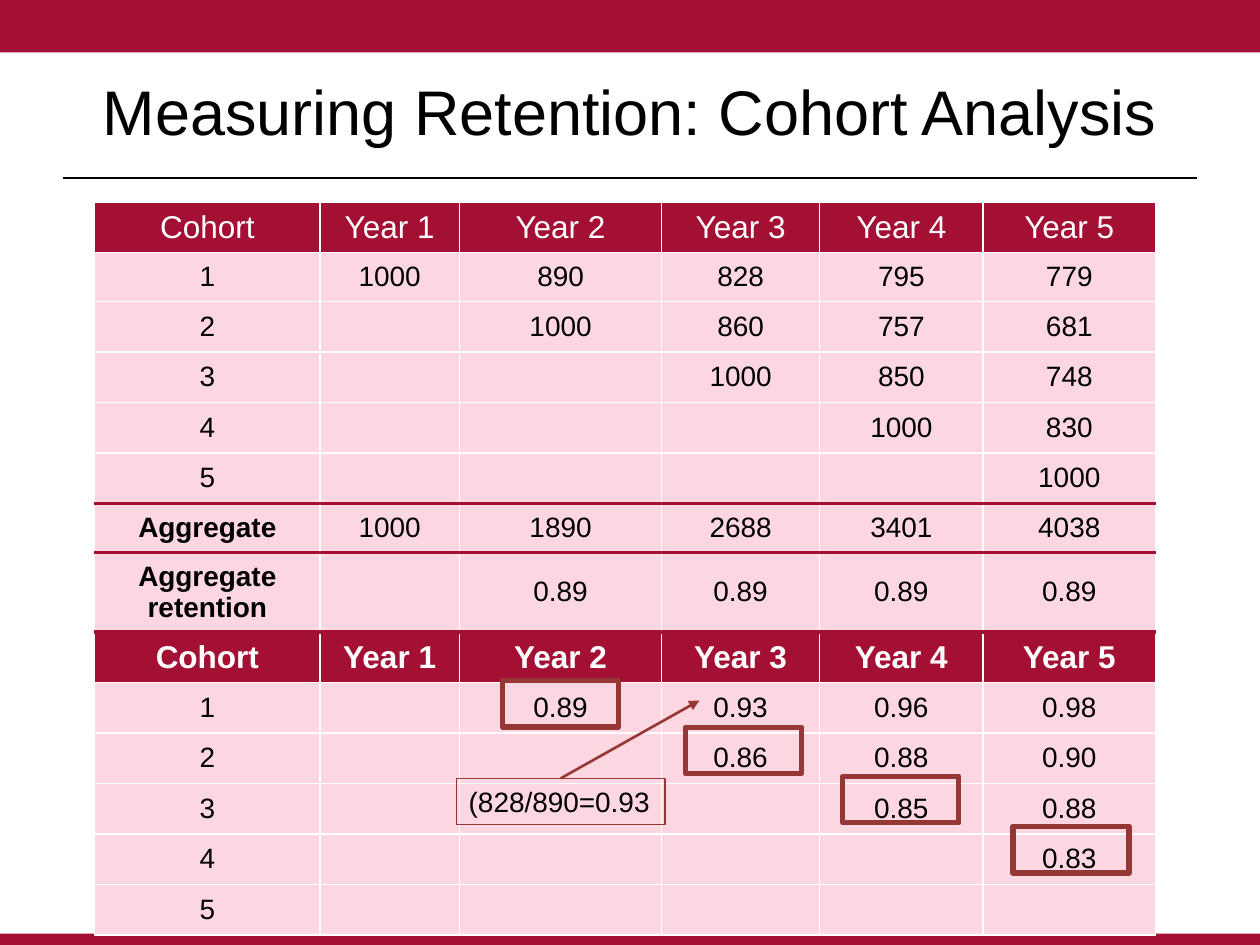
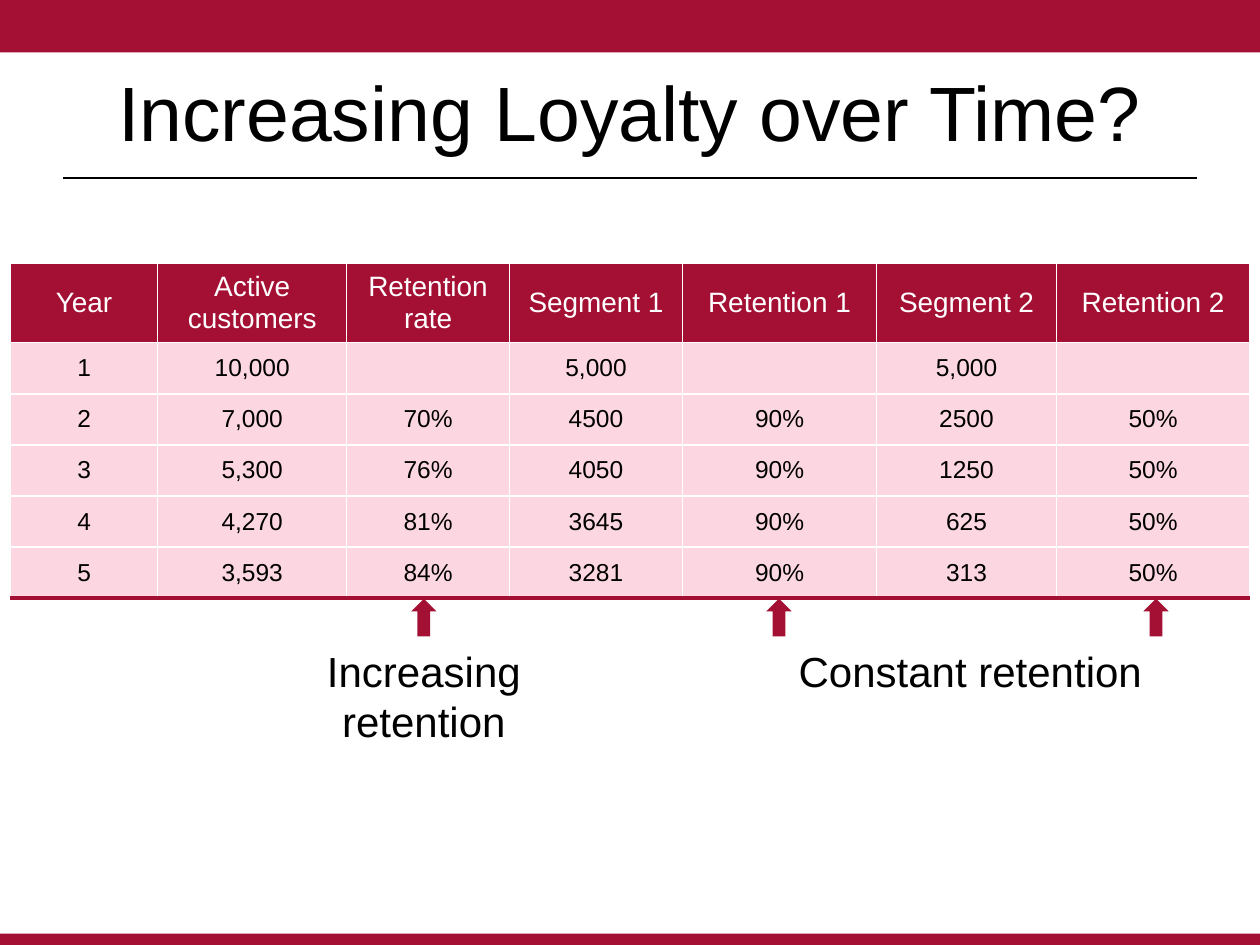
from dataclasses import dataclass

import pptx
import pptx.dml.color
import pptx.enum.shapes
import pptx.enum.text
import pptx.oxml.ns
import pptx.presentation
import pptx.shapes.autoshape
import pptx.shapes.connector
import pptx.slide
import pptx.util
from lxml import etree
from pptx.enum.shapes import MSO_SHAPE
from pptx.enum.text import MSO_ANCHOR, PP_ALIGN
from pptx.util import Cm, Pt


@dataclass(frozen=True)
class Theme:
    font: str = "Arial"
    crimson: str = "A41034"
    pink: str = "FCD7E2"
    brick: str = "953735"
    black: str = "000000"
    white: str = "FFFFFF"
    note_size: int = 16
    caption_size: int = 24
    grid_width: float = 1
    rule_width: float = 2.25


THEME = Theme()
SLIDE_WIDTH, SLIDE_HEIGHT = 25.4, 19.05
MARGIN = 1.27


@dataclass(frozen=True)
class Box:
    """A rectangle in centimetres."""
    left: float
    top: float
    width: float
    height: float

    def lengths(self) -> tuple:
        return Cm(self.left), Cm(self.top), Cm(self.width), Cm(self.height)


@dataclass(frozen=True)
class Row:
    cells: tuple
    height: float
    is_header: bool = False
    bold_cells: int = 0
    rule_below: bool = False


@dataclass(frozen=True)
class TableSpec:
    left: float
    top: float
    widths: tuple
    rows: list
    header_size: int
    body_size: int


@dataclass(frozen=True)
class Callout:
    """Up arrows with one caption below them."""
    arrow_lefts: tuple
    caption_lines: tuple
    caption_box: Box


def rgb(color: str) -> pptx.dml.color.RGBColor:
    return pptx.dml.color.RGBColor.from_string(color)


# Shared drawing functions

def add_text(paragraph, text: str, size: int, color: str = THEME.black,
             bold: bool = False) -> None:
    run = paragraph.add_run()
    run.text = text
    run.font.name = THEME.font
    run.font.size = Pt(size)
    run.font.bold = bold
    run.font.color.rgb = rgb(color)


def add_text_box(shapes, box: Box, lines: tuple, size: int, wrap: bool = False,
                 anchor: MSO_ANCHOR = MSO_ANCHOR.TOP) -> None:
    frame = shapes.add_textbox(*box.lengths()).text_frame
    frame.word_wrap = wrap
    frame.vertical_anchor = anchor
    paragraph = frame.paragraphs[0]
    paragraph.alignment = PP_ALIGN.CENTER
    for index, line in enumerate(lines):
        if index:
            paragraph.add_line_break()
        add_text(paragraph, line, size)


def add_filled(shapes, kind: MSO_SHAPE, box: Box) -> None:
    shape = shapes.add_shape(kind, *box.lengths())
    shape.shadow.inherit = False
    shape.fill.solid()
    shape.fill.fore_color.rgb = rgb(THEME.crimson)
    shape.line.fill.background()


def add_outline(shapes, box: Box, width: float) -> pptx.shapes.autoshape.Shape:
    shape = shapes.add_shape(MSO_SHAPE.RECTANGLE, *box.lengths())
    shape.shadow.inherit = False
    shape.fill.background()
    shape.line.color.rgb = rgb(THEME.brick)
    shape.line.width = Pt(width)
    return shape


def add_line(shapes, start: tuple, end: tuple, color: str,
             width: float) -> pptx.shapes.connector.Connector:
    connector = shapes.add_connector(
        pptx.enum.shapes.MSO_CONNECTOR.STRAIGHT,
        *(Cm(value) for value in start + end))
    connector.line.color.rgb = rgb(color)
    connector.line.width = Pt(width)
    etree.SubElement(connector._element.spPr, pptx.oxml.ns.qn("a:effectLst"))
    return connector


def add_arrowhead(connector: pptx.shapes.connector.Connector) -> None:
    line = connector.line._get_or_add_ln()
    etree.SubElement(line, pptx.oxml.ns.qn("a:tailEnd"), type="triangle")


def add_border(cell, side: str, color: str, width: float) -> None:
    qn = pptx.oxml.ns.qn
    border = etree.SubElement(cell._tc.get_or_add_tcPr(), qn(f"a:ln{side}"),
                              w=str(Pt(width)))
    fill = etree.SubElement(border, qn("a:solidFill"))
    etree.SubElement(fill, qn("a:srgbClr"), val=color)


def add_table(slide: pptx.slide.Slide, spec: TableSpec) -> None:
    box = Box(spec.left, spec.top, sum(spec.widths),
              sum(row.height for row in spec.rows))
    table = slide.shapes.add_table(len(spec.rows), len(spec.widths),
                                   *box.lengths()).table
    table.first_row = table.horz_banding = False
    for column, width in zip(table.columns, spec.widths):
        column.width = Cm(width)
    grid = (THEME.white, THEME.grid_width)
    rule = (THEME.crimson, THEME.rule_width)
    top_border = grid
    for row_index, row in enumerate(spec.rows):
        table.rows[row_index].height = Cm(row.height)
        bottom_border = rule if row.rule_below else grid
        for column_index, text in enumerate(row.cells):
            cell = table.cell(row_index, column_index)
            for side, border in zip("LRTB", (grid, grid, top_border, bottom_border)):
                add_border(cell, side, *border)
            cell.fill.solid()
            cell.fill.fore_color.rgb = rgb(THEME.crimson if row.is_header else THEME.pink)
            cell.vertical_anchor = MSO_ANCHOR.MIDDLE
            paragraph = cell.text_frame.paragraphs[0]
            paragraph.alignment = PP_ALIGN.CENTER
            if text:
                add_text(paragraph, text,
                         spec.header_size if row.is_header else spec.body_size,
                         THEME.white if row.is_header else THEME.black,
                         column_index < row.bold_cells)
        top_border = bottom_border


def add_framed_slide(presentation: pptx.presentation.Presentation, title: str,
                     title_size: int) -> pptx.slide.Slide:
    """Add a slide with its bands, title and title rule."""
    slide = presentation.slides.add_slide(presentation.slide_layouts[6])
    for top, height in ((0, 1.06), (18.82, 0.23)):
        add_filled(slide.shapes, MSO_SHAPE.RECTANGLE, Box(0, top, SLIDE_WIDTH, height))
    add_line(slide.shapes, (MARGIN, 3.59), (SLIDE_WIDTH - MARGIN, 3.59),
             THEME.black, 1.25)
    add_text_box(slide.shapes, Box(MARGIN, 0.64, SLIDE_WIDTH - 2 * MARGIN, 3.18),
                 (title,), title_size, wrap=True, anchor=MSO_ANCHOR.MIDDLE)
    return slide


# Slide 1: cohort analysis

def build_cohort_slide(presentation: pptx.presentation.Presentation) -> None:
    slide = add_framed_slide(presentation, "Measuring Retention: Cohort Analysis", 36)
    height = 0.99
    years = ("Cohort", "Year 1", "Year 2", "Year 3", "Year 4", "Year 5")
    rows = [
        Row(years, height, is_header=True),
        Row(("1", "1000", "890", "828", "795", "779"), height),
        Row(("2", "", "1000", "860", "757", "681"), height),
        Row(("3", "", "", "1000", "850", "748"), height),
        Row(("4", "", "", "", "1000", "830"), height),
        Row(("5", "", "", "", "", "1000"), height, rule_below=True),
        Row(("Aggregate", "1000", "1890", "2688", "3401", "4038"), height,
            bold_cells=1, rule_below=True),
        Row(("Aggregate retention", "", "0.89", "0.89", "0.89", "0.89"), 1.55,
            bold_cells=1, rule_below=True),
        Row(years, height, is_header=True, bold_cells=len(years)),
        Row(("1", "", "0.89", "0.93", "0.96", "0.98"), height),
        Row(("2", "", "", "0.86", "0.88", "0.90"), height),
        Row(("3", "", "", "", "0.85", "0.88"), height),
        Row(("4", "", "", "", "", "0.83"), height),
        Row(("5", "", "", "", "", ""), height),
    ]
    add_table(slide, TableSpec(1.91, 4.07, (4.54, 2.81, 4.08, 3.18, 3.3, 3.47),
                               rows, header_size=18, body_size=16))

    # Worked example with an arrow to its cell
    example = add_outline(slide.shapes, Box(9.2, 15.69, 4.21, 0.94), 0.75)
    frame = example.text_frame
    frame.word_wrap = False
    frame.vertical_anchor = MSO_ANCHOR.TOP
    frame.paragraphs[0].alignment = PP_ALIGN.LEFT
    add_text(frame.paragraphs[0], "(828/890=0.93", THEME.note_size)
    arrow = add_line(slide.shapes, (11.3, 15.69), (14.1, 14.12), THEME.brick, 1.5)
    arrow.begin_connect(example, 0)
    add_arrowhead(arrow)

    # First-year retention of each cohort
    for left, top in ((10.13, 13.72), (13.82, 14.66), (16.99, 15.65), (20.42, 16.66)):
        add_outline(slide.shapes, Box(left, top, 2.34, 0.94), 3)


# Slide 2: loyalty over time

def build_loyalty_slide(presentation: pptx.presentation.Presentation) -> None:
    slide = add_framed_slide(presentation, "Increasing Loyalty over Time?", 44)
    header = ("Year", "Active customers", "Retention rate", "Segment 1",
              "Retention 1", "Segment 2", "Retention 2")
    years = [
        ("1", "10,000", "", "5,000", "", "5,000", ""),
        ("2", "7,000", "70%", "4500", "90%", "2500", "50%"),
        ("3", "5,300", "76%", "4050", "90%", "1250", "50%"),
        ("4", "4,270", "81%", "3645", "90%", "625", "50%"),
        ("5", "3,593", "84%", "3281", "90%", "313", "50%"),
    ]
    rows = [Row(header, 1.5, is_header=True)]
    rows += [Row(cells, 1.03, rule_below=cells is years[-1]) for cells in years]
    add_table(slide, TableSpec(0.21, 5.3, (2.97, 3.81, 3.28, 3.49, 3.91, 3.63, 3.89),
                               rows, header_size=16, body_size=14))

    # Captions under the retention columns
    callouts = [
        Callout((8.29,), ("Increasing", "retention"), Box(6.32, 12.88, 4.45, 2.36)),
        Callout((15.45, 23.05), ("Constant retention",), Box(15.65, 12.88, 7.82, 0.94)),
    ]
    for callout in callouts:
        shapes = slide.shapes.add_group_shape().shapes
        for left in callout.arrow_lefts:
            add_filled(shapes, MSO_SHAPE.UP_ARROW, Box(left, 12.07, 0.51, 0.76))
        add_text_box(shapes, callout.caption_box, callout.caption_lines,
                     THEME.caption_size)


def main() -> None:
    presentation = pptx.Presentation()
    presentation.slide_width = Cm(SLIDE_WIDTH)
    presentation.slide_height = Cm(SLIDE_HEIGHT)
    build_cohort_slide(presentation)
    build_loyalty_slide(presentation)
    presentation.save("out.pptx")


if __name__ == "__main__":
    main()
